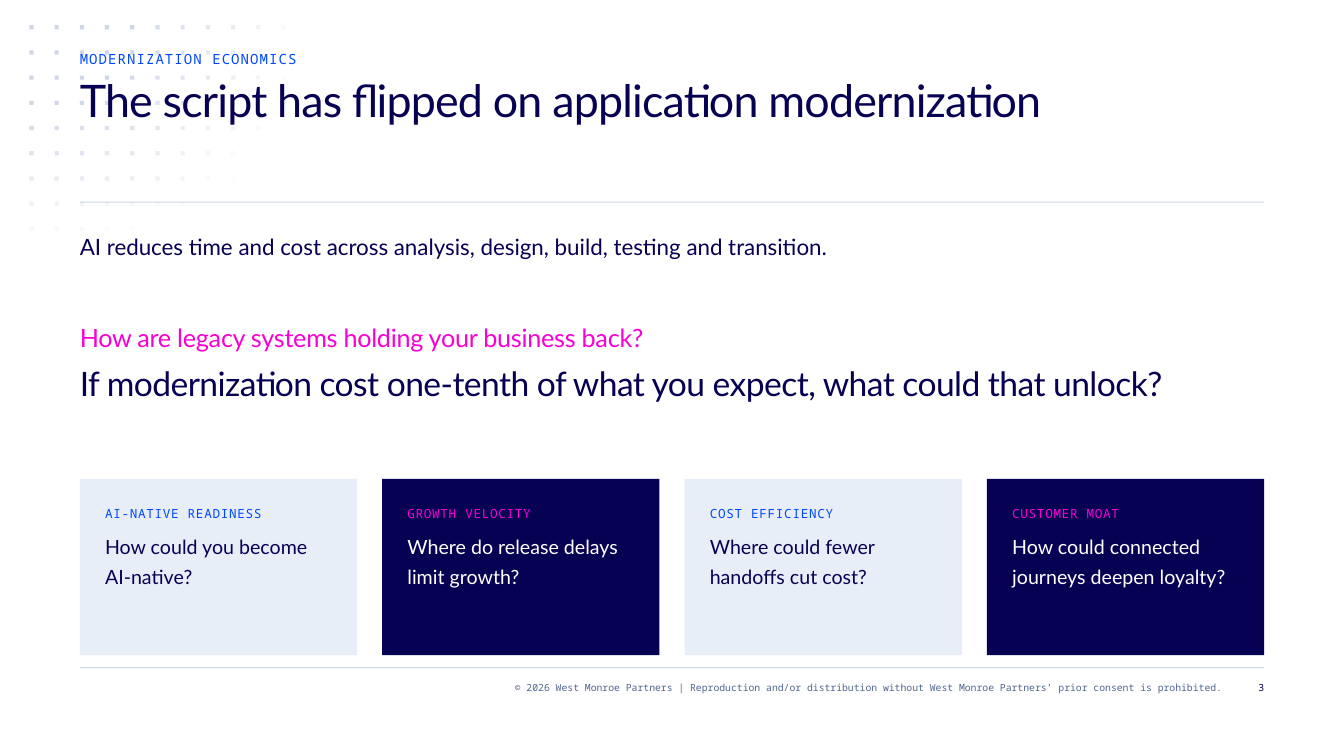
import math

import pptx
import pptx.dml.color
import pptx.enum.shapes
import pptx.enum.text
import pptx.oxml.ns
import pptx.util
from lxml import etree

Pt = pptx.util.Pt

COLORS = {
    "navy": "070154",
    "blue": "0047FF",
    "magenta": "F900D3",
    "white": "FFFFFF",
    "pale": "E8EEF8",
    "rule": "CED7E6",
    "slate": "50658E",
}
SANS, MONO = "Lato", "Noto Sans Mono"

COPYRIGHT = ("© 2026 West Monroe Partners | Reproduction and/or distribution without "
             "West Monroe Partners’ prior consent is prohibited.")
PAGE_NUMBER = "3"
EYEBROW = "MODERNIZATION ECONOMICS"
TITLE = "The script has flipped on application modernization"
LEAD = "AI reduces time and cost across analysis, design, build, testing and transition."
PROMPT = "How are legacy systems holding your business back?"
QUESTION = "If modernization cost one-tenth of what you expect, what could that unlock?"
CARDS = [
    ("AI-NATIVE READINESS", "How could you become AI-native?"),
    ("GROWTH VELOCITY", "Where do release delays limit growth?"),
    ("COST EFFICIENCY", "Where could fewer handoffs cut cost?"),
    ("CUSTOMER MOAT", "How could connected journeys deepen loyalty?"),
]
CARD_STYLES = [("pale", "blue", "navy"), ("navy", "magenta", "white")]

LEFT, CONTENT_WIDTH = 57, 846
GAP = 18
CARD_TOP, CARD_HEIGHT = 342, 126
DOT_LEFT, DOT_TOP, DOT_SIZE = 21, 18, 3
DOT_COLUMNS, DOT_ROWS = 11, 9
FADE_COLUMNS, FADE_ROWS, FADE_STRENGTH = 11.08, 9.07, 153

prs = pptx.Presentation()
prs.slide_width, prs.slide_height = Pt(960), Pt(540)
slide = prs.slides.add_slide(prs.slide_layouts[6])


def rgb(color):
    return pptx.dml.color.RGBColor.from_string(COLORS[color])


def add_rect(left, top, width, height, color, opacity=100):
    rect = slide.shapes.add_shape(pptx.enum.shapes.MSO_SHAPE.RECTANGLE,
                                  Pt(left), Pt(top), Pt(width), Pt(height))
    rect.shadow.inherit = False
    rect.line.fill.background()
    rect.fill.solid()
    rect.fill.fore_color.rgb = rgb(color)
    if opacity < 100:
        srgb = rect._element.spPr.find(".//" + pptx.oxml.ns.qn("a:srgbClr"))
        alpha = etree.SubElement(srgb, pptx.oxml.ns.qn("a:alpha"))
        alpha.set("val", str(opacity * 1000))


def add_text(text, left, top, width, height, font, size, color, leading,
             tracking=0, align="LEFT"):
    """Place one paragraph; leading and tracking are in points."""
    box = slide.shapes.add_textbox(Pt(left), Pt(top), Pt(width), Pt(height))
    frame = box.text_frame
    frame.word_wrap = True
    frame.margin_left = frame.margin_right = frame.margin_top = frame.margin_bottom = 0
    paragraph = frame.paragraphs[0]
    paragraph.alignment = pptx.enum.text.PP_ALIGN[align]
    paragraph.line_spacing = Pt(leading)
    run = paragraph.add_run()
    run.text = text
    run.font.name = font
    run.font.size = Pt(size)
    run.font.color.rgb = rgb(color)
    if tracking:
        run.font._element.set("spc", str(round(tracking * 100)))


def add_dot_grid():
    """Draw dots that fade out along an ellipse around the top left dot."""
    for column in range(DOT_COLUMNS):
        for row in range(DOT_ROWS):
            distance = math.hypot(column / FADE_COLUMNS, row / FADE_ROWS)
            opacity = min(100, int(FADE_STRENGTH * (1 - distance)))
            if opacity >= 2:
                add_rect(DOT_LEFT + column * GAP, DOT_TOP + row * GAP,
                         DOT_SIZE, DOT_SIZE, "rule", opacity)


def add_cards():
    width = (CONTENT_WIDTH - GAP * (len(CARDS) - 1)) / len(CARDS)
    text_width = width - 2 * GAP
    for index, (label, question) in enumerate(CARDS):
        fill, label_color, question_color = CARD_STYLES[index % len(CARD_STYLES)]
        left = LEFT + index * (width + GAP)
        add_rect(left, CARD_TOP, width, CARD_HEIGHT, fill)
        add_text(label, left + GAP, CARD_TOP + 18, text_width, 12,
                 MONO, 9, label_color, 12, 0.5)
        add_text(question, left + GAP, CARD_TOP + 36, text_width, 42,
                 SANS, 14, question_color, 21)


add_dot_grid()
for rule_top in (144, 476.5):
    add_rect(LEFT, rule_top, CONTENT_WIDTH, 0.75, "rule")
add_text(COPYRIGHT, 171, 486, 702, 18, MONO, 7, "slate", 9, align="RIGHT")
add_text(PAGE_NUMBER, 879, 486, 24, 18, MONO, 7, "navy", 9, align="RIGHT")
add_text(EYEBROW, LEFT, 36, CONTENT_WIDTH, 12, MONO, 10, "blue", 12, 0.8)
add_text(TITLE, LEFT, 54, CONTENT_WIDTH, 90, SANS, 32, "navy", 36, -0.6)
add_text(LEAD, LEFT, 162, 702, 24, SANS, 16, "navy", 24)
add_text(PROMPT, LEFT, 228, 702, 24, SANS, 18, "magenta", 24, -0.2)
add_text(QUESTION, LEFT, 258, 774, 60, SANS, 24, "navy", 30, -0.4)
add_cards()

prs.save("out.pptx")
